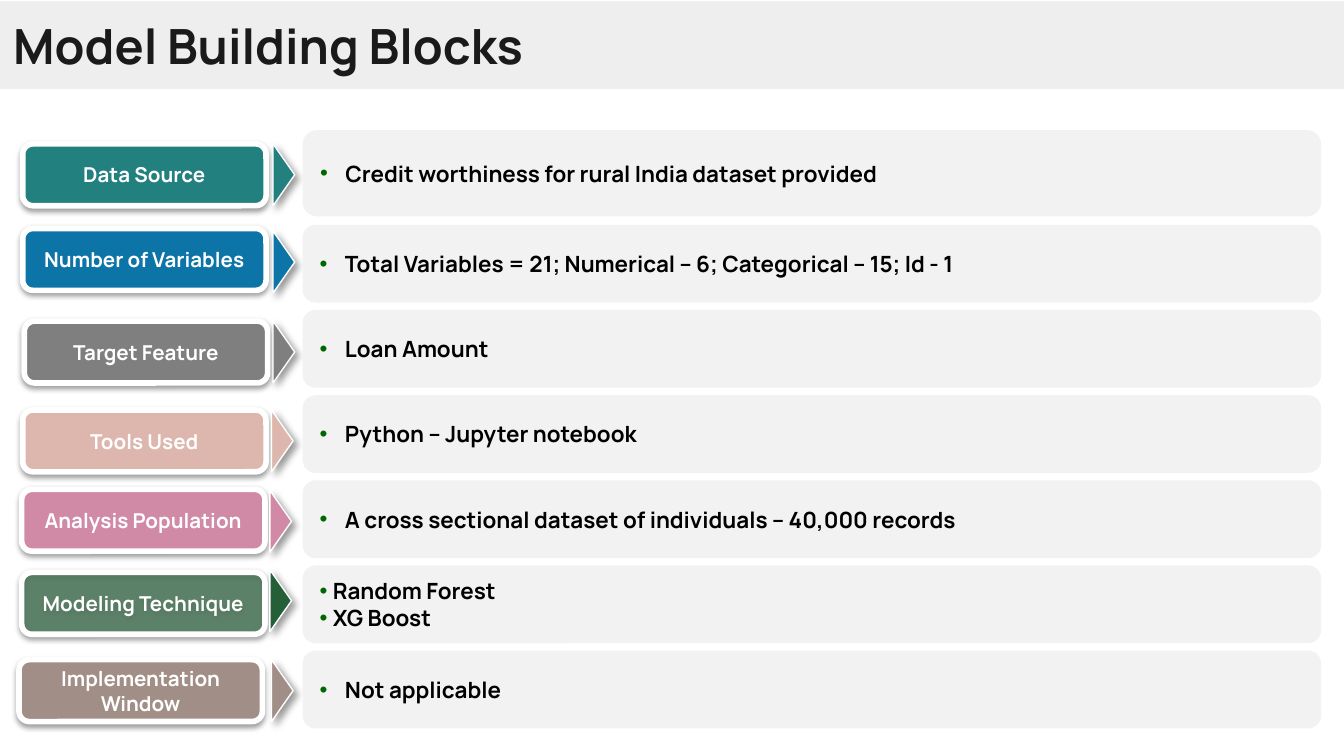
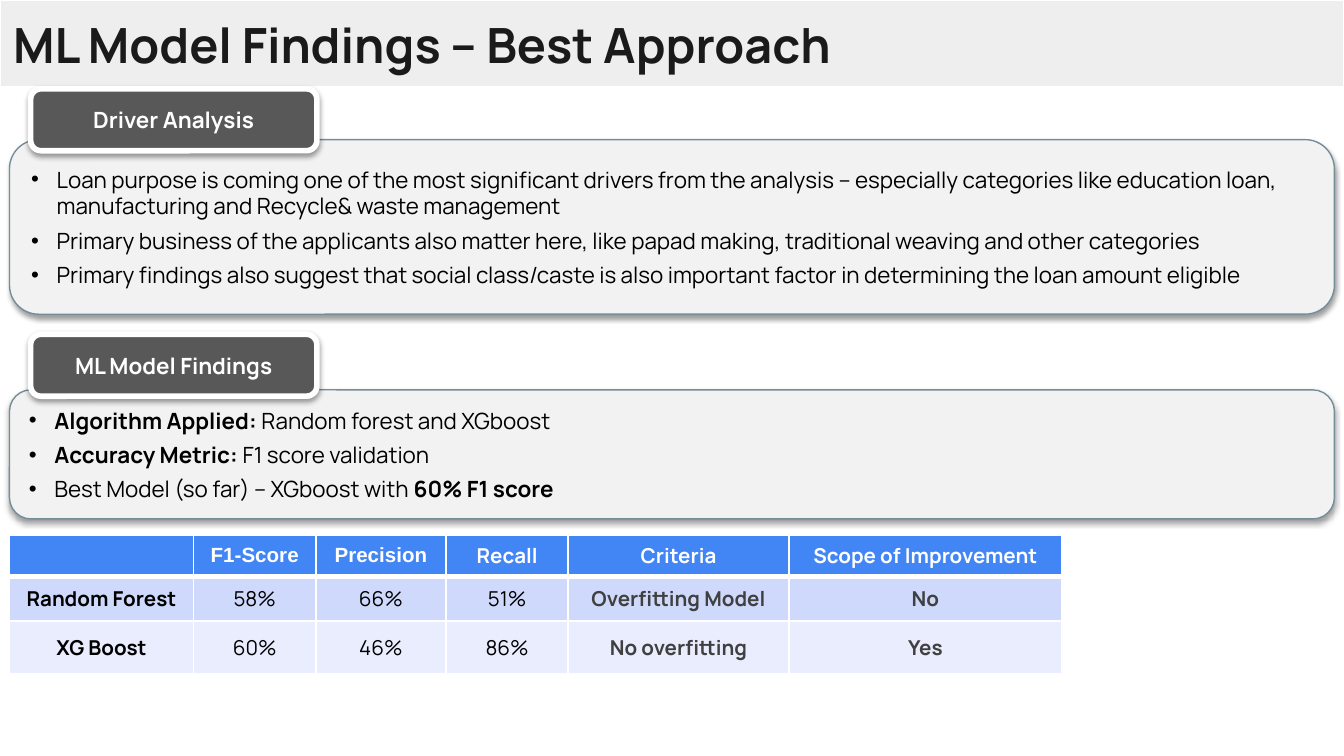
from lxml.etree import SubElement
from pptx import Presentation
from pptx.dml.color import RGBColor
from pptx.enum.shapes import MSO_SHAPE
from pptx.enum.text import MSO_ANCHOR, PP_ALIGN
from pptx.oxml.ns import qn
from pptx.util import Cm, Pt

FONT = "Manrope"
WHITE, BLACK, PANEL = "FFFFFF", "000000", "F2F2F2"
SOFT_SHADOW = dict(blur=3.1, distance=1.6, angle=90, alpha=38)
CORNER_SHADOW = dict(blur=4, distance=3, angle=45, alpha=40)

# label, colour, opacity, (label left, top), (arrow left, top), findings
BLOCKS = [
    ("Data Source", "22807F", 100, (0.43, 2.72), (4.78, 3.1),
     ["Credit worthiness for rural India dataset provided"]),
    ("Number of Variables", "0D74A8", 100, (0.43, 4.32), (4.78, 4.75),
     ["Total Variables = 21; Numerical – 6; Categorical – 15; Id - 1"]),
    ("Target Feature", "7F7F7F", 100, (0.46, 6.07), (4.78, 6.45),
     ["Loan Amount"]),
    ("Tools Used", "DDB7AD", 100, (0.43, 7.75), (4.75, 8.13),
     ["Python – Jupyter notebook"]),
    ("Analysis Population", "D08AA6", 100, (0.41, 9.25), (4.72, 9.65),
     ["A cross sectional dataset of individuals – 40,000 records"]),
    ("Modeling Technique", "255F38", 64, (0.41, 10.82), (4.72, 11.15),
     ["Random Forest", "XG Boost"]),
    ("Implementation Window", "A18E87", 100, (0.36, 12.47), (4.75, 12.85),
     ["Not applicable"]),
]

DRIVERS = [
    [("Loan purpose is coming one of the most significant drivers from the analysis – "
      "especially categories like education loan, manufacturing and Recycle& waste management", False)],
    [("Primary business of the applicants also matter here, like papad making, "
      "traditional weaving and other categories", False)],
    [("Primary findings also suggest that social class/caste is also important factor "
      "in determining the loan amount eligible", False)],
]
FINDINGS = [
    [("Algorithm Applied:", True), (" Random forest and XGboost", False)],
    [("Accuracy Metric: ", True), ("F1 score validation", False)],
    [("Best Model (so far) – XGboost with ", False), ("60% F1 score", True)],
]
SCORES = [
    ["", "F1-Score", "Precision", "Recall", "Criteria", "Scope of Improvement"],
    ["Random Forest", "58%", "66%", "51%", "Overfitting Model", "No"],
    ["XG Boost", "60%", "46%", "86%", "No overfitting", "Yes"],
]


def color(value):
    return RGBColor.from_string(value)


def set_values(target, values):
    for name, value in values.items():
        setattr(target, name, value)


def add_alpha(parent, percent):
    SubElement(parent, qn("a:alpha"), val=str(percent * 1000))


class SlideBuilder:
    """Holds the deck, the current page and the shared style."""

    def __init__(self):
        self.deck = Presentation()
        set_values(self.deck, dict(slide_width=Cm(25.4), slide_height=Cm(14.29)))
        self.page = None

    def new_page(self, title, top=0, line=WHITE):
        self.page = self.deck.slides.add_slide(self.deck.slide_layouts[6])
        band = self.shape(MSO_SHAPE.RECTANGLE, (0, top, 25.4, 1.65), "EEEEEE", line)
        sides = ("left", "top", "right", "bottom")
        set_values(band.text_frame, {f"margin_{side}": Cm(0.25) for side in sides})
        self.add_spans(band.text_frame.paragraphs[0], [(title, True)], 26, "1A1A1A")

    def shape(self, kind, place, fill, line=None, line_width=0.75, shadow=None):
        box = self.page.shapes.add_shape(kind, *map(Cm, place))
        box.fill.solid()
        box.fill.fore_color.rgb = color(fill)
        if line:
            box.line.color.rgb = color(line)
            box.line.width = Pt(line_width)
        else:
            box.line.fill.background()
        box.shadow.inherit = False
        if shadow:
            self.cast_shadow(box, **shadow)
        set_values(box.text_frame, dict(word_wrap=True, vertical_anchor=MSO_ANCHOR.MIDDLE))
        return box

    def cast_shadow(self, box, blur, distance, angle, alpha):
        effects = box.element.spPr.find(qn("a:effectLst"))
        outer = SubElement(effects, qn("a:outerShdw"), blurRad=str(Pt(blur)),
                           dist=str(Pt(distance)), dir=str(angle * 60000), rotWithShape="0")
        add_alpha(SubElement(outer, qn("a:srgbClr"), val=BLACK), alpha)

    def add_spans(self, para, spans, size, ink, align=PP_ALIGN.LEFT, font=FONT):
        """Fill a paragraph with (text, bold) spans."""
        para.alignment = align
        for text, bold in spans:
            span = para.add_run()
            span.text = text
            set_values(span.font, dict(name=font, size=Pt(size), bold=bold))
            span.font.color.rgb = color(ink)

    def bullets(self, box, items, indent=0.48, bullet_color=BLACK, gap=0):
        frame = box.text_frame
        for index, spans in enumerate(items):
            para = frame.add_paragraph() if index else frame.paragraphs[0]
            self.add_spans(para, spans, 12, BLACK)
            para.space_after = Pt(gap)
            properties = para._p.get_or_add_pPr()
            properties.set("marL", str(Cm(indent)))
            properties.set("indent", str(-Cm(indent)))
            ink = SubElement(properties, qn("a:buClr"))
            SubElement(ink, qn("a:srgbClr"), val=bullet_color)
            SubElement(properties, qn("a:buFont"), typeface="Arial")
            SubElement(properties, qn("a:buChar"), char="•")

    def label(self, text, place, fill, size, opacity=100):
        box = self.shape(MSO_SHAPE.ROUNDED_RECTANGLE, place, fill, WHITE, 3, SOFT_SHADOW)
        if opacity < 100:
            add_alpha(box.element.spPr.find(qn("a:solidFill"))[0], opacity)
        self.add_spans(box.text_frame.paragraphs[0], [(text, True)], size, WHITE, PP_ALIGN.CENTER)

    def arrow(self, left, top, fill):
        triangle = self.shape(MSO_SHAPE.ISOSCELES_TRIANGLE, (left, top, 1.17, 0.41),
                              fill, WHITE, shadow=CORNER_SHADOW)
        triangle.rotation = 90

    def section(self, title, label_top, top, height, items):
        panel = self.shape(MSO_SHAPE.ROUNDED_RECTANGLE, (0.18, top, 25.04, height),
                           PANEL, "748D99", shadow=SOFT_SHADOW)
        self.bullets(panel, items, gap=4)
        self.label(title, (0.58, label_top, 5.41, 1.17), "585858", 12)

    def table(self, rows, place, widths, heights):
        frame = self.page.shapes.add_table(len(rows), len(widths), *map(Cm, place))
        grid = frame.table
        for column, width in zip(grid.columns, widths):
            column.width = Cm(width)
        for line, height in zip(grid.rows, heights):
            line.height = Cm(height)
        for row, texts in enumerate(rows):
            for column, text in enumerate(texts):
                self.cell(grid.cell(row, column), row, column, text)

    def cell(self, cell, row, column, text):
        is_score = row > 0 and 1 <= column <= 3
        ink = WHITE if row == 0 else "404040" if column > 3 else BLACK
        font = "Arial" if row == 0 and column in (1, 2) else FONT
        thick_side = {0: "B", 1: "T"}.get(row)
        properties = cell._tc.get_or_add_tcPr()
        for side in "LRTB":
            edge = SubElement(properties, qn(f"a:ln{side}"),
                              w=str(Pt(3 if side == thick_side else 1)))
            SubElement(SubElement(edge, qn("a:solidFill")), qn("a:srgbClr"), val=WHITE)
        cell.fill.solid()
        cell.fill.fore_color.rgb = color(("4285F4", "CFD9FB", "E9EDFD")[row])
        cell.vertical_anchor = MSO_ANCHOR.MIDDLE
        if text:
            self.add_spans(cell.text_frame.paragraphs[0], [(text, not is_score)], 11, ink,
                           PP_ALIGN.CENTER, font)
        else:
            set_values(cell, dict(margin_top=0, margin_bottom=0))


def add_building_blocks(builder):
    builder.new_page("Model Building Blocks", top=0.03, line="EEEEEE")
    for index, (name, fill, opacity, label_at, arrow_at, lines) in enumerate(BLOCKS):
        builder.label(name, (*label_at, 4.6, 1.17), fill, 11, opacity)
        builder.arrow(*arrow_at, fill)
        top, height = (4.25 + 1.61 * (index - 1), 1.47) if index else (2.46, 1.63)
        panel = builder.shape(MSO_SHAPE.ROUNDED_RECTANGLE, (5.72, top, 19.25, height), PANEL)
        builder.bullets(panel, [[(line, True)] for line in lines],
                        0.48 if len(lines) == 1 else 0.25, "006600")


def add_findings(builder):
    builder.new_page("ML Model Findings – Best Approach")
    builder.section("Driver Analysis", 1.68, 2.64, 3.3, DRIVERS)
    builder.section("ML Model Findings", 6.32, 7.37, 2.44, FINDINGS)
    builder.table(SCORES, (0.18, 10.11, 19.91, 2.57),
                  (3.48, 2.31, 2.46, 2.31, 4.17, 5.16), (0.74, 0.84, 0.99))


def main():
    builder = SlideBuilder()
    add_building_blocks(builder)
    add_findings(builder)
    builder.deck.save("out.pptx")


if __name__ == "__main__":
    main()
